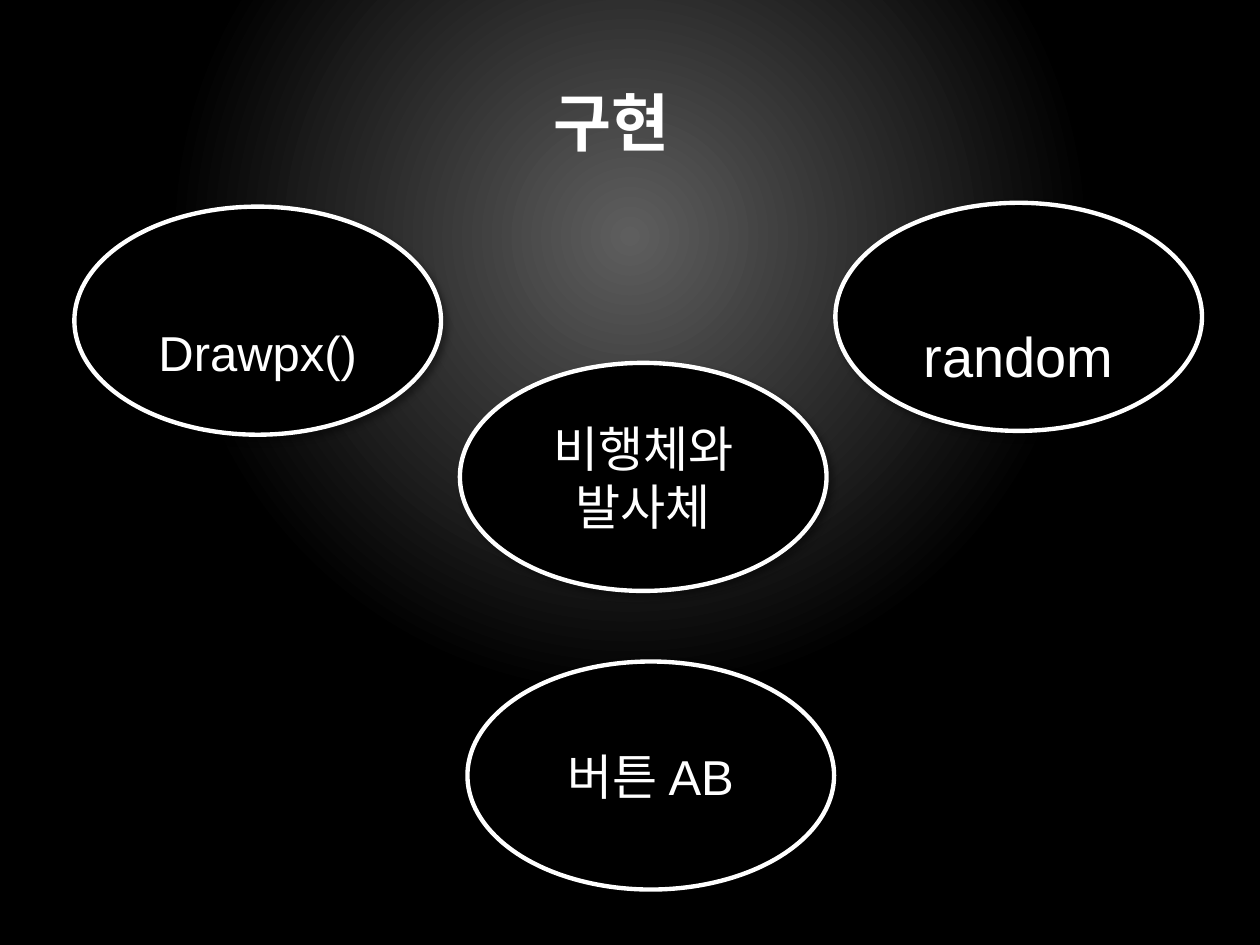
import pptx
import pptx.dml.color
import pptx.enum.shapes
import pptx.enum.text
import pptx.oxml
import pptx.oxml.ns
import pptx.util

Inches = pptx.util.Inches
Pt = pptx.util.Pt
COLORS = {"ink": "FFFFFF", "base": "000000", "glow": "5E5E5E"}
FONT = "Arial"


class Deck:
    """Holds the style and the current slide, and draws its elements."""

    def __init__(self, width, height):
        self.presentation = pptx.Presentation()
        self.presentation.slide_width = Inches(width)
        self.presentation.slide_height = Inches(height)
        self.slide = self.presentation.slides.add_slide(self.presentation.slide_layouts[6])

    def color(self, name):
        return pptx.dml.color.RGBColor.from_string(COLORS[name])

    def background(self, stops):
        fill = self.slide.background.fill
        fill.gradient()
        gradient = self.slide.element.find(".//" + pptx.oxml.ns.qn("a:gradFill"))
        stop_xml = "".join(
            f'<a:gs pos="{position * 1000}"><a:srgbClr val="{COLORS[name]}"/></a:gs>'
            for position, name in stops
        )
        gradient.getparent().replace(gradient, pptx.oxml.parse_xml(
            f'<a:gradFill {pptx.oxml.ns.nsdecls("a")} rotWithShape="1">'
            f'<a:gsLst>{stop_xml}</a:gsLst><a:path path="circle">'
            '<a:fillToRect l="50000" t="0" r="50000" b="50000"/></a:path></a:gradFill>'
        ))

    def label(self, shape, text, size, bold=False):
        frame = shape.text_frame
        frame.word_wrap = True
        frame.vertical_anchor = pptx.enum.text.MSO_ANCHOR.MIDDLE
        paragraph = frame.paragraphs[0]
        paragraph.text = text
        paragraph.alignment = pptx.enum.text.PP_ALIGN.CENTER
        paragraph.font.name = FONT
        paragraph.font.size = Pt(size)
        paragraph.font.bold = bold
        paragraph.font.color.rgb = self.color("ink")

    def title(self, text, left, top, width, height):
        box = self.slide.shapes.add_textbox(*map(Inches, (left, top, width, height)))
        self.label(box, text, 36, bold=True)

    def bubble(self, text, left, top, size=28, top_margin=0.05):
        shape = self.slide.shapes.add_shape(
            pptx.enum.shapes.MSO_SHAPE.OVAL,
            Inches(left), Inches(top), Inches(2.91), Inches(1.81),
        )
        shape.fill.solid()
        shape.fill.fore_color.rgb = self.color("base")
        shape.line.color.rgb = self.color("ink")
        shape.line.width = Pt(2.5)
        self.shadow(shape)
        self.label(shape, text, size)
        shape.text_frame.margin_top = Inches(top_margin)

    def shadow(self, shape):
        shape.shadow.inherit = False
        effects = shape.element.spPr.find(pptx.oxml.ns.qn("a:effectLst"))
        effects.append(pptx.oxml.parse_xml(
            f'<a:outerShdw {pptx.oxml.ns.nsdecls("a")} blurRad="{Pt(4)}" dist="{Pt(3)}" '
            f'dir="2700000" rotWithShape="0"><a:srgbClr val="{COLORS["base"]}">'
            '<a:alpha val="38000"/></a:srgbClr></a:outerShdw>'
        ))


def main():
    deck = Deck(10, 7.5)
    deck.background([(0, "glow"), (59, "base"), (100, "base")])
    deck.title("구현", 0.35, 0.34, 9, 1.25)
    deck.bubble("비행체와 발사체", 3.65, 2.88)
    deck.bubble("Drawpx()", 0.59, 1.64, top_margin=0.55)
    deck.bubble("random", 6.63, 1.61, size=32, top_margin=0.65)
    deck.bubble("버튼 AB", 3.71, 5.25)
    deck.presentation.save("out.pptx")


if __name__ == "__main__":
    main()
